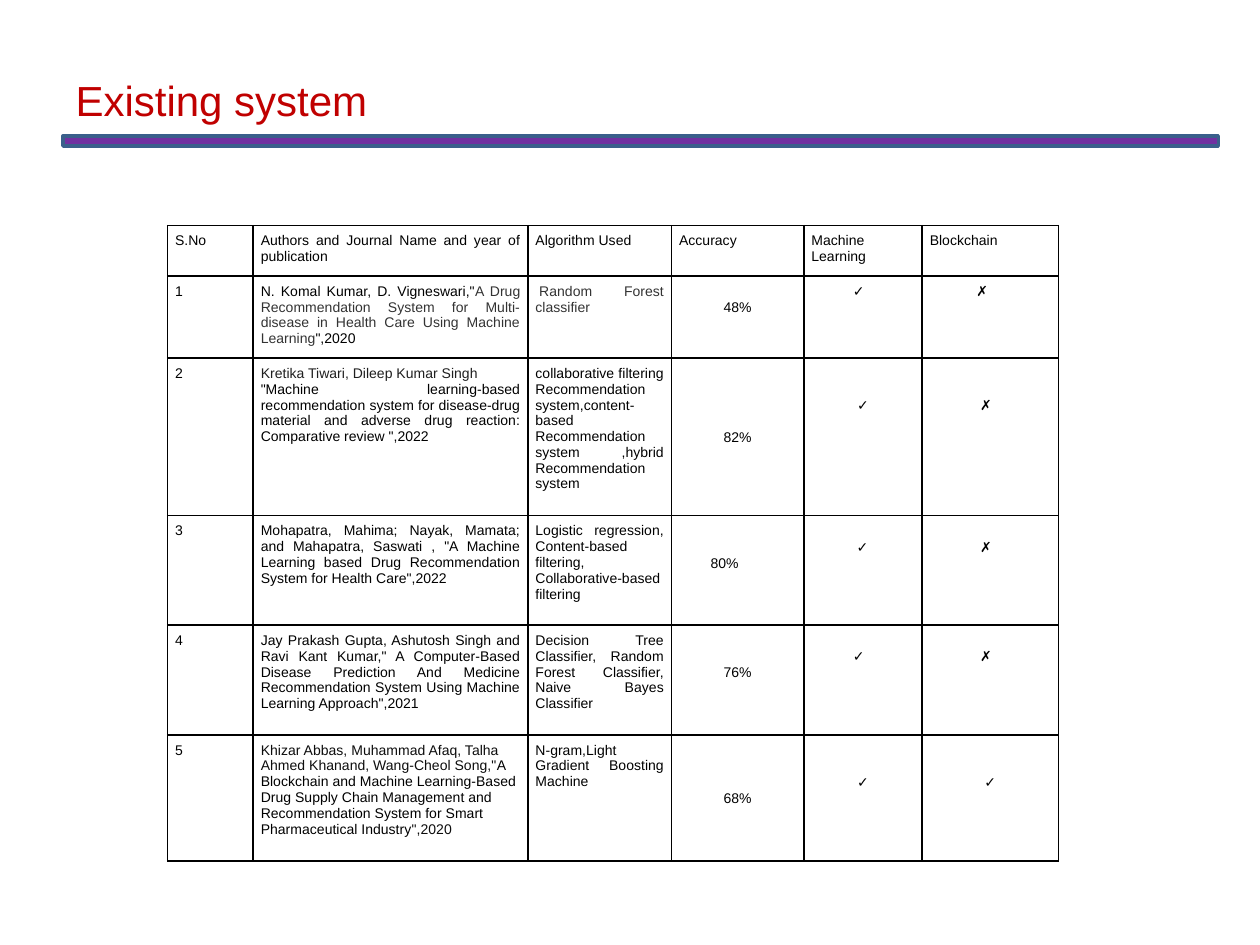
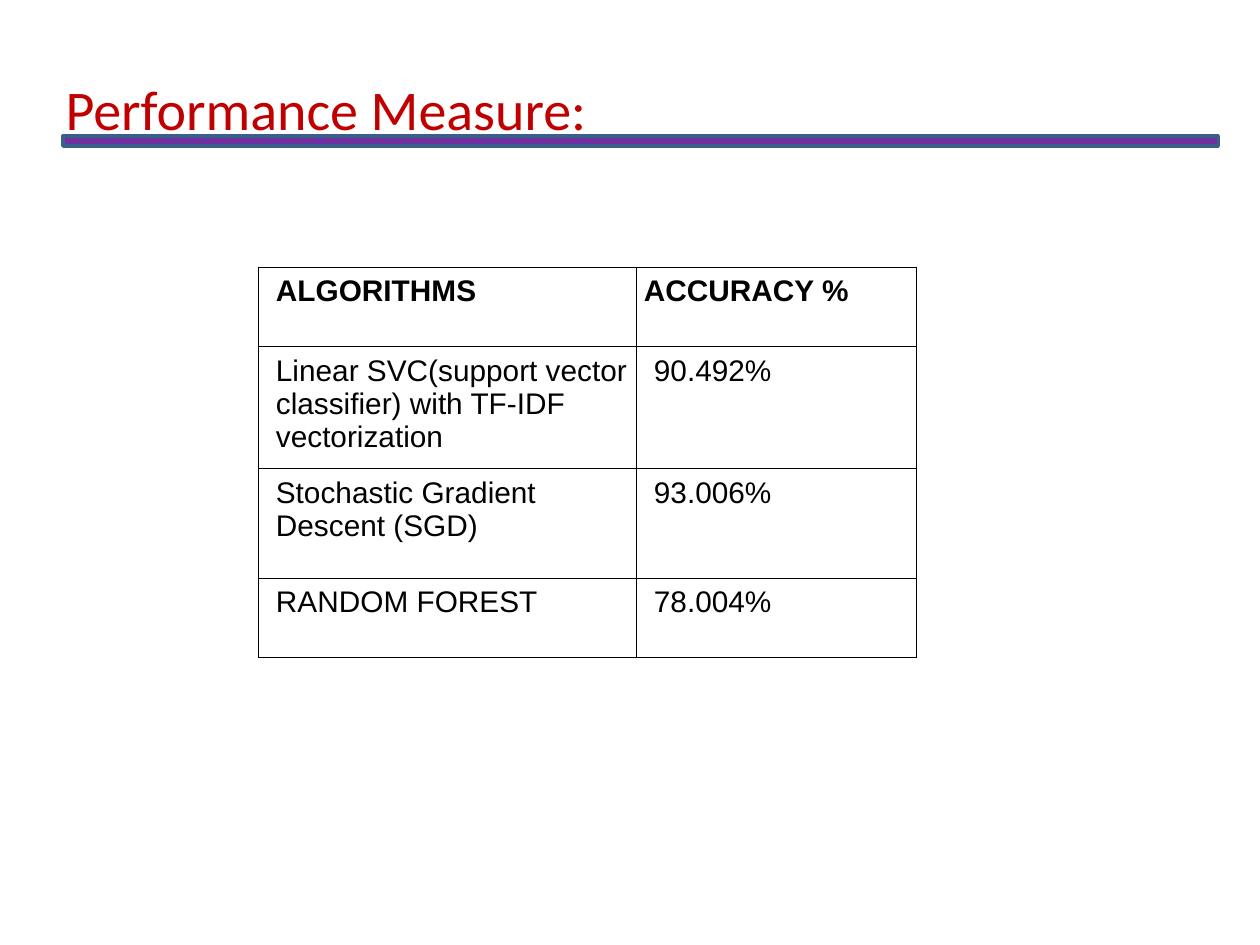
from dataclasses import dataclass

from lxml import etree
from pptx import Presentation
from pptx.dml.color import RGBColor
from pptx.enum import shapes, text
from pptx.oxml import ns
from pptx.util import Inches, Pt

LEFT, CENTER, JUSTIFY = text.PP_ALIGN.LEFT, text.PP_ALIGN.CENTER, text.PP_ALIGN.JUSTIFY


@dataclass(frozen=True)
class Theme:
    title: str = "C00000"
    bar: str = "7030A0"
    bar_edge: str = "3A5F8B"
    ink: str = "000000"
    soft: str = "333333"
    dark: str = "1F1F1F"
    deep: str = "0D0D0D"
    font: str = "Arial"
    bar_at: tuple = (0.5, 1.08, 9.17, 0.08)
    cell_inset: float = 0.06
    line_height: float = 1.15


THEME = Theme()


@dataclass
class Cell:
    """Paragraphs of (text, colour) runs; `down` counts text lines left free above."""
    paragraphs: list
    aligns: tuple = (JUSTIFY,)
    indent: float = 0
    first: float = 0
    down: int = 0
    before: float = 0
    bold: bool = False


def plain(words, **layout):
    return Cell([[(words, THEME.ink)]], **layout)


def centred(words, down):
    return plain(words, aligns=(CENTER,), down=down)


def indented(words, indent, down=0):
    return plain(words, aligns=(LEFT,), indent=indent, down=down)


def result(words):
    return plain(words, aligns=(LEFT,), indent=0.08, before=1)


EXISTING = dict(
    title="Existing system", title_font="Arial", title_size=24,
    title_at=(0.55, 0.5, 9.07, 0.48),
    table_at=(1.33, 1.79), size=8, border=1,
    columns=[0.68, 2.18, 1.14, 1.05, 0.94, 1.08],
    heights=[0.4, 0.62, 1.25, 0.87, 0.87, 1],
    rows=[
        ["S.No", "Authors and Journal Name and year of publication", "Algorithm Used",
         "Accuracy", "Machine Learning", "Blockchain"],
        ["1",
         Cell([[('N. Komal Kumar, D. Vigneswari,"', THEME.ink),
                ("A Drug Recommendation System for Multi-disease in Health Care "
                 "Using Machine Learning", THEME.soft),
                ('",2020', THEME.ink)]]),
         Cell([[("Random Forest classifier", THEME.soft)]], first=0.03),
         centred("48%", 1), indented("✓", 0.33), indented("✗", 0.37)],
        ["2",
         Cell([[("Kretika Tiwari, Dileep Kumar Singh", THEME.dark)],
               [('"Machine learning-based recommendation system for disease-drug material '
                 'and adverse drug reaction: Comparative review ",2022', THEME.ink)]],
              aligns=(LEFT, JUSTIFY)),
         "collaborative filtering Recommendation system,content-based Recommendation "
         "system ,hybrid Recommendation system",
         centred("82%", 4), centred("✓", 2), indented("✗", 0.4, 2)],
        ["3",
         'Mohapatra, Mahima; Nayak, Mamata; and Mahapatra, Saswati , "A Machine Learning '
         'based Drug Recommendation System for Health Care",2022',
         "Logistic regression, Content-based filtering, Collaborative-based filtering",
         indented("80%", 0.25, 2), indented("✓", 0.36, 1), indented("✗", 0.4, 1)],
        ["4",
         'Jay Prakash Gupta, Ashutosh Singh and Ravi Kant Kumar," A Computer-Based Disease '
         'Prediction And Medicine Recommendation System Using Machine Learning '
         'Approach",2021',
         "Decision Tree Classifier, Random Forest Classifier, Naive Bayes Classifier",
         centred("76%", 2), indented("✓", 0.33, 1), indented("✗", 0.4, 1)],
        ["5",
         Cell([[('Khizar Abbas, Muhammad Afaq, Talha Ahmed Khanand, Wang-Cheol Song,"',
                 THEME.deep),
                ("A Blockchain and Machine Learning-Based Drug Supply Chain Management and "
                 "Recommendation System for Smart Pharmaceutical Industry", THEME.ink),
                ('",2020', THEME.deep)]], aligns=(LEFT,)),
         "N-gram,Light Gradient Boosting Machine",
         centred("68%", 3), centred("✓", 2), centred("✓", 2)],
    ])

PERFORMANCE = dict(
    title="Performance Measure:", title_font="Calibri", title_size=32,
    title_at=(0.47, 0.5, 4.98, 0.54),
    table_at=(2.05, 2.12), size=17, border=0.5,
    columns=[3, 2.22], heights=[0.63, 0.87, 0.87, 0.63],
    rows=[
        [plain("ALGORITHMS", aligns=(LEFT,), indent=0.08, bold=True),
         plain("ACCURACY %", aligns=(LEFT,), bold=True)],
        [result("Linear SVC(support vector classifier) with TF-IDF vectorization"),
         result("90.492%")],
        [result("Stochastic Gradient Descent (SGD)"), result("93.006%")],
        [result("RANDOM FOREST"), result("78.004%")],
    ])


def style(run, font, size, colour, bold=False):
    run.font.name, run.font.size, run.font.bold = font, Pt(size), bold
    run.font.color.rgb = RGBColor.from_string(colour)


def add_title(slide, page):
    frame = slide.shapes.add_textbox(*map(Inches, page["title_at"])).text_frame
    frame.word_wrap = True
    frame.margin_left = frame.margin_right = Inches(0.05)
    frame.margin_top, frame.margin_bottom = Inches(0.09), Inches(0.01)
    frame.text = page["title"]
    heading = frame.paragraphs[0]
    heading.alignment = JUSTIFY
    style(heading.runs[0], page["title_font"], page["title_size"], THEME.title)


def add_bar(slide):
    bar = slide.shapes.add_shape(shapes.MSO_SHAPE.RECTANGLE, *map(Inches, THEME.bar_at))
    bar.shadow.inherit = False
    bar.fill.solid()
    bar.fill.fore_color.rgb = RGBColor.from_string(THEME.bar)
    bar.line.color.rgb = RGBColor.from_string(THEME.bar_edge)
    bar.line.width = Pt(2)


def add_borders(box, width):
    properties = box._tc.get_or_add_tcPr()
    for side in ("a:lnL", "a:lnR", "a:lnT", "a:lnB"):
        edge = etree.SubElement(properties, ns.qn(side), w=str(Pt(width)))
        fill = etree.SubElement(edge, ns.qn("a:solidFill"))
        etree.SubElement(fill, ns.qn("a:srgbClr"), val=THEME.ink)


def fill_cell(box, cell, size, border):
    add_borders(box, border)
    box.fill.background()
    box.margin_left = box.margin_right = box.margin_bottom = Inches(THEME.cell_inset)
    box.margin_top = Inches(THEME.cell_inset) + Pt(cell.down * size * THEME.line_height)
    frame = box.text_frame
    for number, (runs, align) in enumerate(zip(cell.paragraphs, cell.aligns)):
        paragraph = frame.add_paragraph() if number else frame.paragraphs[0]
        paragraph.alignment = align
        paragraph.space_before = Pt(cell.before)
        properties = paragraph._p.get_or_add_pPr()
        properties.set("marL", str(Inches(cell.indent)))
        properties.set("indent", str(Inches(cell.first)))
        for words, colour in runs:
            run = paragraph.add_run()
            run.text = words
            style(run, THEME.font, size, colour, cell.bold)


def add_grid(slide, page):
    columns, heights = page["columns"], page["heights"]
    lengths = (*page["table_at"], sum(columns), sum(heights))
    grid = slide.shapes.add_table(len(heights), len(columns), *map(Inches, lengths)).table
    grid.first_row = grid.horz_banding = False
    for column, width in zip(grid.columns, columns):
        column.width = Inches(width)
    for row, height, cells in zip(grid.rows, heights, page["rows"]):
        row.height = Inches(height)
        for box, cell in zip(row.cells, cells):
            fill_cell(box, plain(cell) if isinstance(cell, str) else cell,
                      page["size"], page["border"])


def main():
    deck = Presentation()
    deck.slide_width, deck.slide_height = Inches(10), Inches(7.5)
    for page in (EXISTING, PERFORMANCE):
        slide = deck.slides.add_slide(deck.slide_layouts[6])
        add_title(slide, page)
        add_bar(slide)
        add_grid(slide, page)
    deck.save("out.pptx")


if __name__ == "__main__":
    main()
